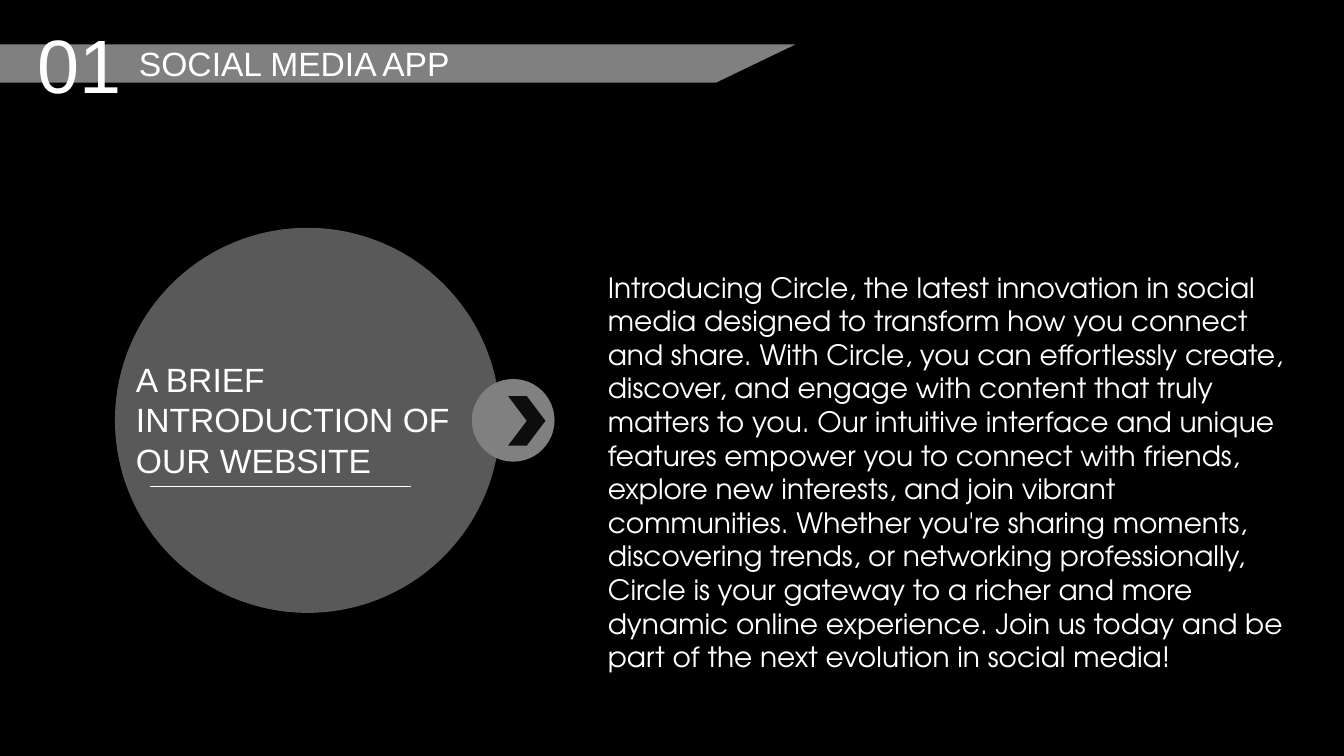
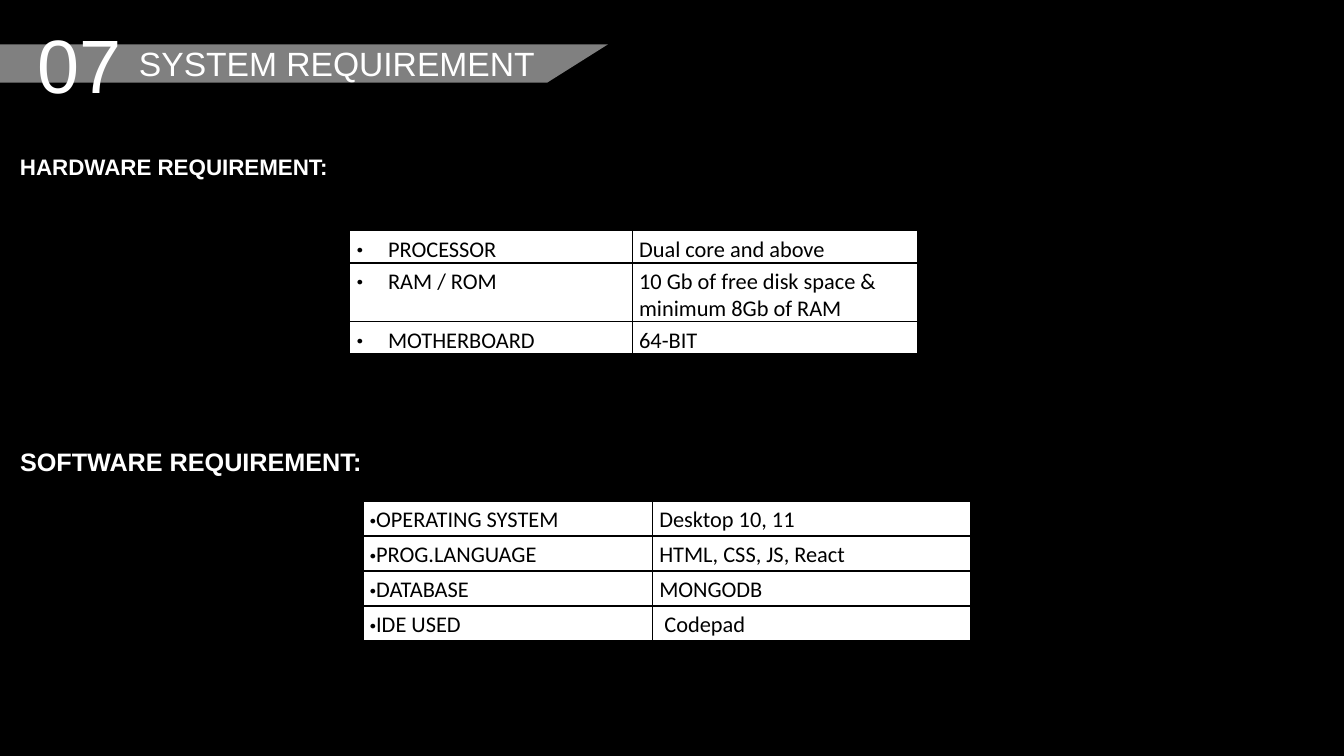
"""Build two slides of a social media app presentation."""
import pptx
import pptx.dml.color
import pptx.enum.shapes
import pptx.enum.text
import pptx.oxml.ns
import pptx.util
from lxml import etree

Inches = pptx.util.Inches
SHAPE = pptx.enum.shapes.MSO_SHAPE

COLORS = {"back": "000000", "band": "808080", "text": "FFFFFF",
          "arrow": "0D0D0D", "cell": "FFFFFF", "ink": "000000"}
HEAD_FONT, BODY_FONT, TABLE_FONT, BULLET_FONT = "Arial", "TeX Gyre Adventor", "Calibri", "Karla"
BULLET = "•"

INTRO_HEADER = {"number": "01", "title": "SOCIAL MEDIA APP", "band": 7.89, "width": 7.28}
INTRO_LABEL = "A BRIEF INTRODUCTION OF OUR WEBSITE"
INTRO_BODY = (
    "Introducing Circle, the latest innovation in social media designed to transform how you "
    "connect and share. With Circle, you can effortlessly create, discover, and engage with "
    "content that truly matters to you. Our intuitive interface and unique features empower you "
    "to connect with friends, explore new interests, and join vibrant communities. Whether "
    "you're sharing moments, discovering trends, or networking professionally, Circle is your "
    "gateway to a richer and more dynamic online experience. Join us today and be part of the "
    "next evolution in social media!")

SYSTEM_HEADER = {"number": "07", "title": "SYSTEM REQUIREMENT", "band": 6.03, "width": 5.72}
REQUIREMENTS = [
    {"heading": "HARDWARE REQUIREMENT:", "heading_box": (0.1, 1.47, 5.56, 0.74), "size": 16,
     "corner": (3.47, 2.29), "columns": (0.31, 2.49, 2.83), "heights": (0.32, 0.54, 0.28),
     "rows": [("•", "PROCESSOR", "Dual core and above"),
              ("•", "RAM / ROM", "10 Gb of free disk space & minimum 8Gb of RAM"),
              ("•", "MOTHERBOARD", "64-BIT")]},
    {"heading": "SOFTWARE REQUIREMENT:", "heading_box": (0.1, 4.38, 4.28, 0.77), "size": 18,
     "corner": (3.6, 4.97), "columns": (2.87, 3.16), "heights": (1.39 / 4,) * 4,
     "rows": [("•OPERATING SYSTEM", "Desktop 10, 11"),
              ("•PROG.LANGUAGE", "HTML, CSS, JS, React"),
              ("•DATABASE", "MONGODB"),
              ("•IDE USED", " Codepad")]},
]


def rgb(name):
    return pptx.dml.color.RGBColor.from_string(COLORS[name])


def add_xml(parent, tag, **attributes):
    return etree.SubElement(parent, pptx.oxml.ns.qn(tag), attributes)


def paint(shape, color):
    shape.shadow.inherit = False
    shape.fill.solid()
    shape.fill.fore_color.rgb = rgb(color)
    shape.line.fill.background()
    return shape


def add_run(paragraph, text, size, font, color="text", bold=False):
    run = paragraph.add_run()
    run.text = text
    run.font.size = pptx.util.Pt(size)
    run.font.name = font
    run.font.bold = bold
    run.font.color.rgb = rgb(color)


def add_text(slide, box, text, size, font=HEAD_FONT, bold=False):
    frame = slide.shapes.add_textbox(*map(Inches, box)).text_frame
    frame.word_wrap = True
    frame.auto_size = pptx.enum.text.MSO_AUTO_SIZE.SHAPE_TO_FIT_TEXT
    add_run(frame.paragraphs[0], text, size, font, bold=bold)


def add_slide(deck, header):
    slide = deck.slides.add_slide(deck.slide_layouts[6])
    slide.background.fill.solid()
    slide.background.fill.fore_color.rgb = rgb("back")
    top, bottom, right = 0.44, 0.82, header["band"]
    outline = [(right, top), (right * 0.9, bottom), (0, bottom)]
    band = slide.shapes.build_freeform(0, Inches(top))
    band.add_line_segments([(Inches(x), Inches(y)) for x, y in outline], close=True)
    paint(band.convert_to_shape(), "band")
    add_text(slide, (1.28, 0.38, header["width"], 0.5), header["title"], 24)
    add_text(slide, (0.27, 0.13, 1.22, 1.01), header["number"], 54)
    return slide


def add_intro(deck):
    slide = add_slide(deck, INTRO_HEADER)
    disc = paint(slide.shapes.add_shape(
        SHAPE.OVAL, *map(Inches, (1.14, 2.26, 3.82, 3.82))), "band")
    disc_color = disc.fill._xPr.find(".//" + pptx.oxml.ns.qn("a:srgbClr"))
    add_xml(disc_color, "a:alpha", val="70000")
    add_text(slide, (1.25, 3.51, 3.51, 1.31), INTRO_LABEL, 24)
    button = slide.shapes.add_group_shape().shapes
    for kind, box, color in [(SHAPE.OVAL, (4.68, 3.76, 0.82, 0.82), "band"),
                             (SHAPE.CHEVRON, (5.04, 3.93, 0.37, 0.49), "arrow")]:
        paint(button.add_shape(kind, *map(Inches, box)), color)
    rule = slide.shapes.add_connector(
        pptx.enum.shapes.MSO_CONNECTOR.STRAIGHT, *map(Inches, (1.49, 4.83, 4.08, 4.83)))
    rule.line.color.rgb = rgb("text")
    rule.line.width = pptx.util.Pt(0.5)
    add_xml(rule._element.spPr, "a:effectLst")
    add_text(slide, (5.93, 2.63, 6.9, 4.14), INTRO_BODY, 20, BODY_FONT)


def style_cell(cell, open_sides):
    cell.margin_left, cell.margin_top = Inches(0.07), Inches(0.05)
    cell.margin_right, cell.margin_bottom = Inches(0.08), 0
    properties = cell._tc.get_or_add_tcPr()
    for side in ("a:lnL", "a:lnR", "a:lnT", "a:lnB"):
        border = add_xml(properties, side, w=str(pptx.util.Pt(1)))
        if side in open_sides:
            add_xml(border, "a:noFill")
        else:
            add_xml(add_xml(border, "a:solidFill"), "a:srgbClr", val=COLORS["ink"])
    cell.fill.solid()
    cell.fill.fore_color.rgb = rgb("cell")


def fill_cell(cell, text):
    paragraph = cell.text_frame.paragraphs[0]
    label = text.removeprefix(BULLET)
    if label != text:
        add_run(paragraph, BULLET, 16, BULLET_FONT, "ink")
    if label:
        add_run(paragraph, label, 16, TABLE_FONT, "ink")


def add_requirement(slide, part):
    add_text(slide, part["heading_box"], part["heading"], part["size"], bold=True)
    size = sum(part["columns"]), sum(part["heights"])
    table = slide.shapes.add_table(len(part["rows"]), len(part["columns"]),
                                   *map(Inches, part["corner"] + size)).table
    table.first_row = table.horz_banding = False
    for column, width in zip(table.columns, part["columns"]):
        column.width = Inches(width)
    for row, height, texts in zip(table.rows, part["heights"], part["rows"]):
        row.height = Inches(height)
        open_sides = {0: ["a:lnR"], 1: ["a:lnL"]} if texts[0] == BULLET else {}
        for index, (cell, text) in enumerate(zip(row.cells, texts)):
            style_cell(cell, open_sides.get(index, []))
            fill_cell(cell, text)


def main():
    deck = pptx.Presentation()
    deck.slide_width, deck.slide_height = Inches(13.33), Inches(7.5)
    add_intro(deck)
    system = add_slide(deck, SYSTEM_HEADER)
    for part in REQUIREMENTS:
        add_requirement(system, part)
    deck.save("out.pptx")


if __name__ == "__main__":
    main()
